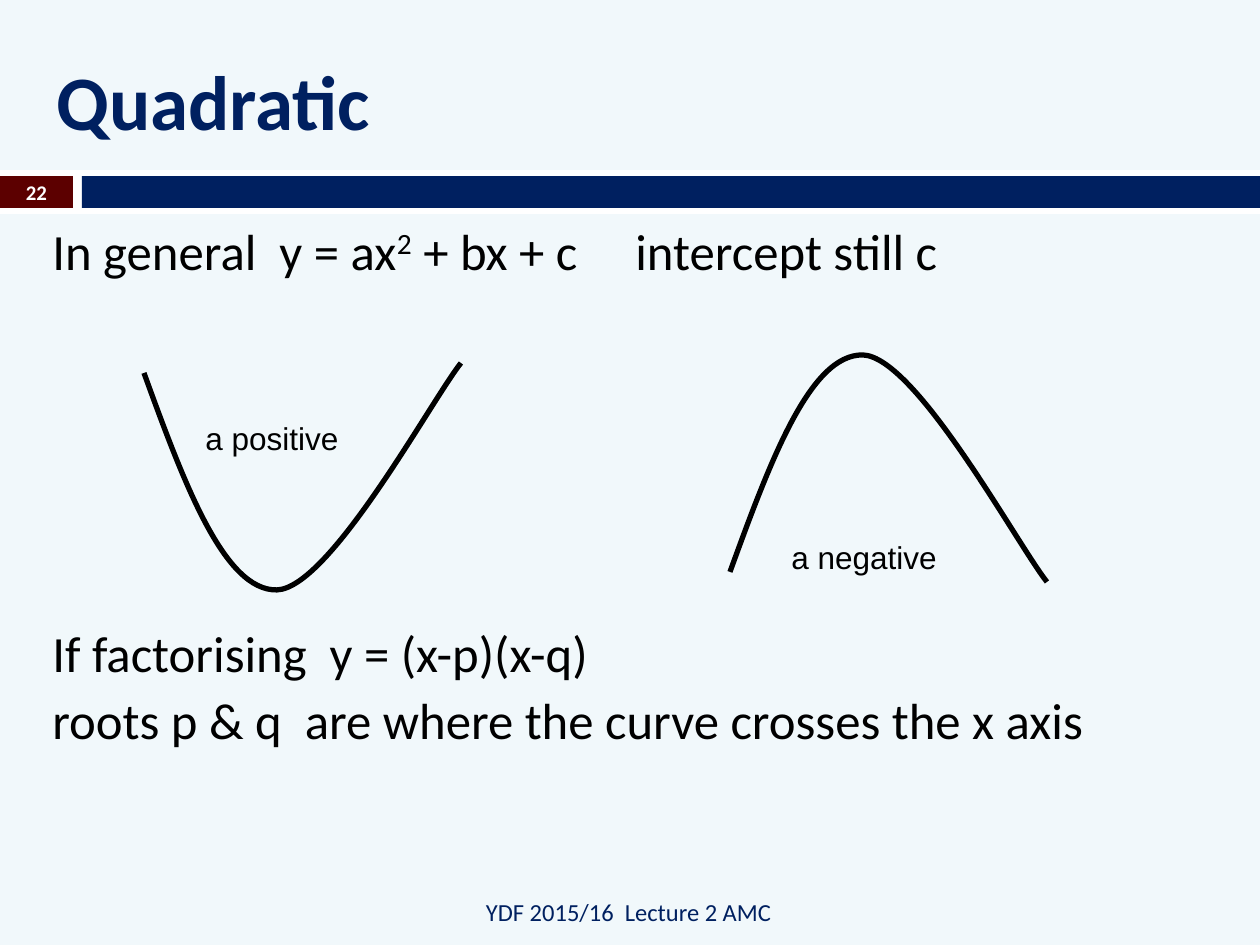
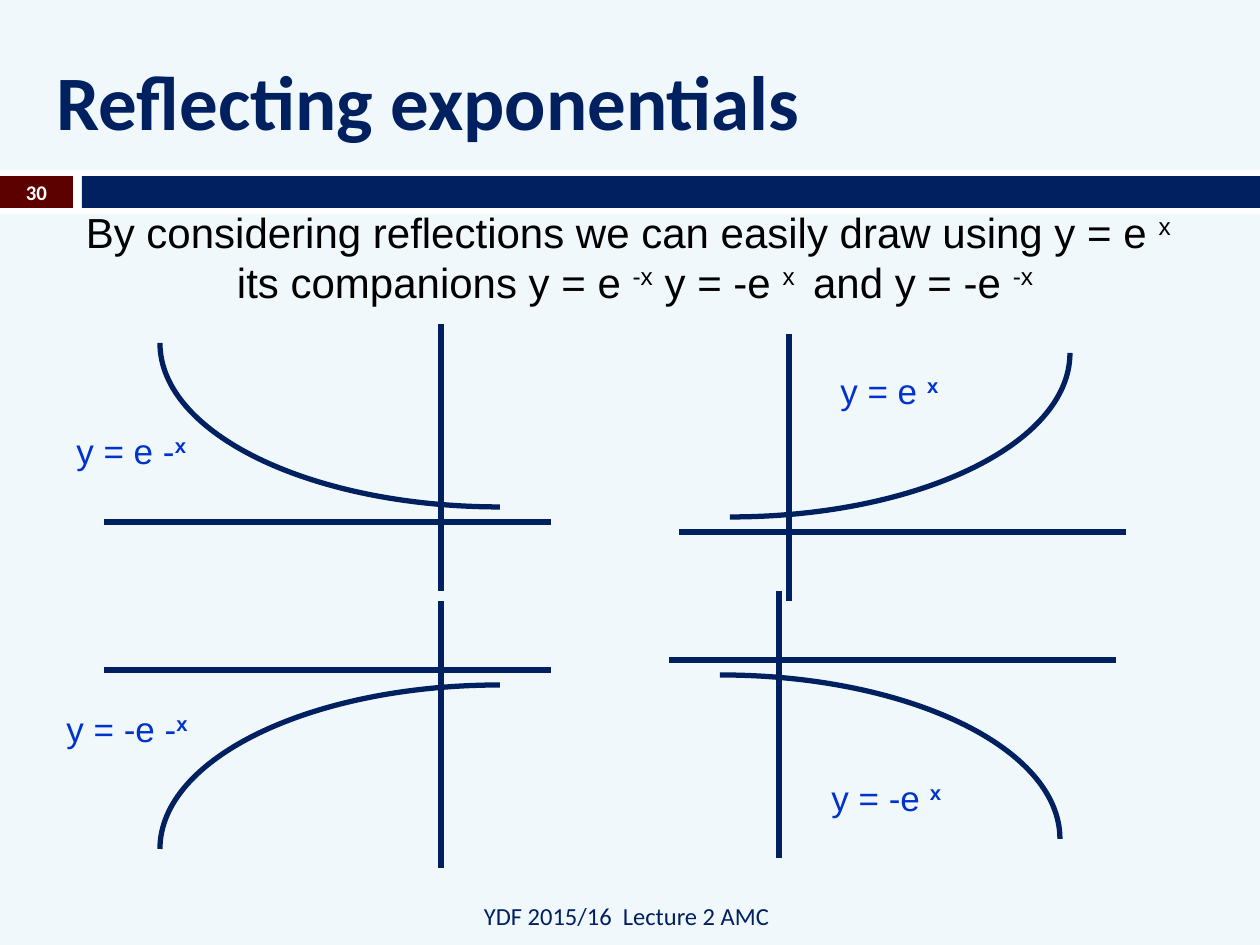
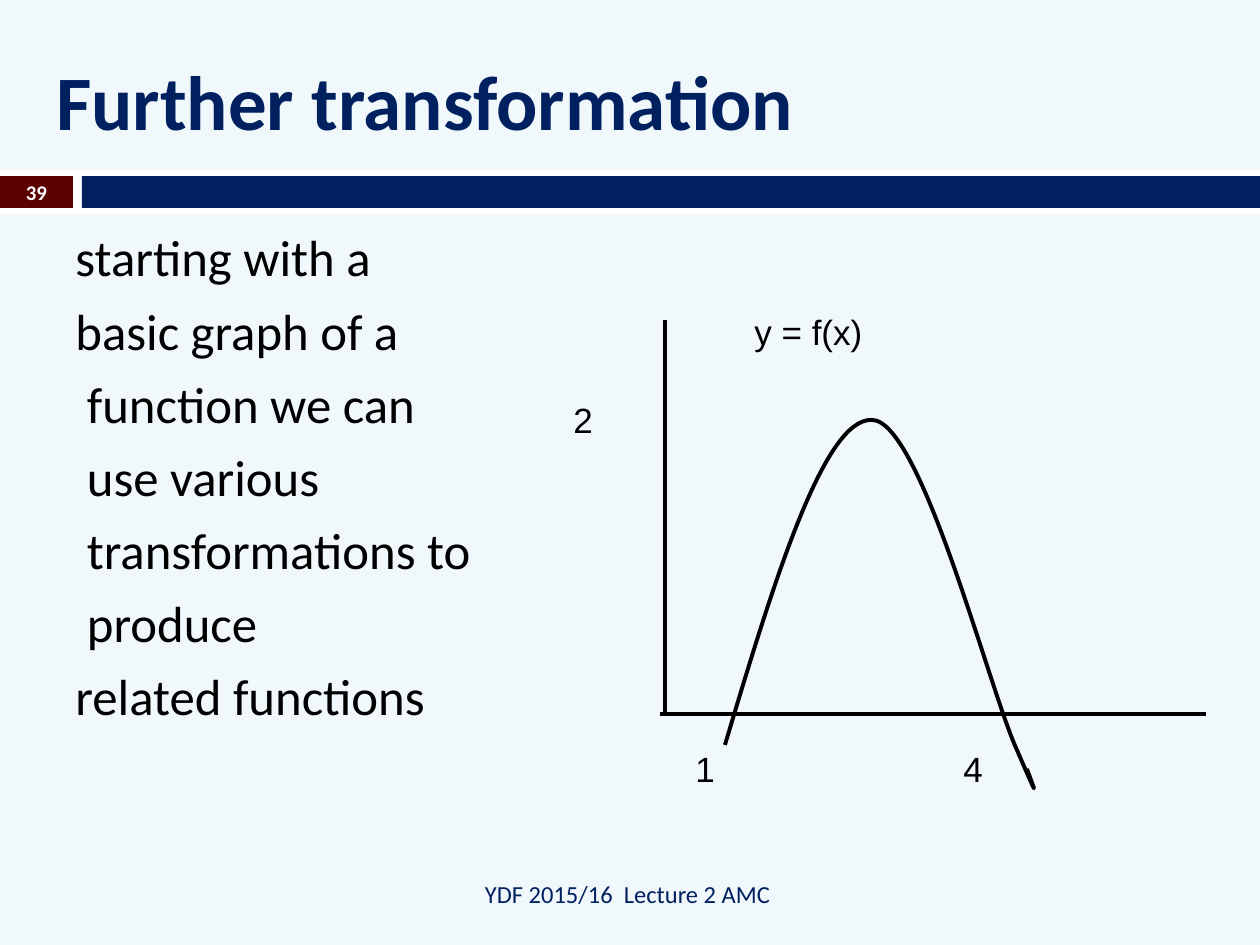
from dataclasses import dataclass

from lxml.etree import SubElement
from pptx import Presentation
from pptx.dml.color import RGBColor
from pptx.enum.shapes import MSO_CONNECTOR, MSO_SHAPE
from pptx.enum.text import MSO_ANCHOR, PP_ALIGN
from pptx.oxml.ns import qn
from pptx.util import Emu, Pt

SCALE = 914400 / 126
SLIDE_SIZE = (1260, 945)


@dataclass(frozen=True)
class Theme:
    """Colours, fonts and type sizes shared by the slides."""

    background: str = "F1F8FB"
    white: str = "FFFFFF"
    maroon: str = "5C0000"
    navy: str = "002060"
    black: str = "000000"
    blue: str = "0033CC"
    heading_font: str = "Calibri"
    label_font: str = "Arial"
    title: float = 44
    body: float = 29
    statement: float = 24
    equation: float = 20
    label: float = 18
    footer: float = 14
    number: float = 11.9


THEME = Theme()

TITLE = {"name": THEME.heading_font, "size": THEME.title, "bold": True, "color": THEME.navy}
BODY = {"name": THEME.heading_font, "size": THEME.body, "color": THEME.black}
FOOTER = {"name": THEME.heading_font, "size": THEME.footer, "color": THEME.navy}
NUMBER = {"name": THEME.heading_font, "size": THEME.number, "bold": True, "color": THEME.white}
STATEMENT = {"name": THEME.label_font, "size": THEME.statement, "color": THEME.black}
LABEL = {"name": THEME.label_font, "size": THEME.label, "color": THEME.black}
AXIS_LABEL = LABEL | {"size": THEME.equation}
EQUATION = AXIS_LABEL | {"color": THEME.blue}


def px(value):
    """Turn pixels into EMU."""
    return Emu(round(value * SCALE))


def rgb(value):
    """Turn a hex string into a colour."""
    return RGBColor.from_string(value)


def format_run(run, style):
    """Apply a dict of format values to a run."""
    for name, value in style.items():
        if name == "color":
            run.font.color.rgb = rgb(value)
        else:
            setattr(run.font, name, Pt(value) if name == "size" else value)


def add_text(slide, box, lines, style, anchor=MSO_ANCHOR.TOP, bold_powers=False, **paragraph_format):
    """Write lines of text, raising the parts that stand between carets."""
    frame = slide.shapes.add_textbox(*map(px, box)).text_frame
    frame.word_wrap = True
    frame.vertical_anchor = anchor
    for index, line in enumerate(lines):
        paragraph = frame.paragraphs[0] if index == 0 else frame.add_paragraph()
        for name, value in paragraph_format.items():
            setattr(paragraph, name, value)
        for position, part in enumerate(line.split("^")):
            if not part:
                continue
            run = paragraph.add_run()
            run.text = part
            format_run(run, style)
            if position % 2:
                run.font.bold = bold_powers
                run.font._element.set("baseline", "30000")
    return frame


def add_tab_stop(paragraph, position):
    """Set a left tab stop in a paragraph."""
    tabs = SubElement(paragraph._p.get_or_add_pPr(), qn("a:tabLst"))
    SubElement(tabs, qn("a:tab"), pos=str(px(position)), algn="l")


def add_band(slide, box, color):
    """Draw a plain filled rectangle."""
    band = slide.shapes.add_shape(MSO_SHAPE.RECTANGLE, *map(px, box))
    band.shadow.inherit = False
    band.fill.solid()
    band.fill.fore_color.rgb = rgb(color)
    band.line.fill.background()


def set_line(shape, color, width):
    """Give a line or an outline its colour and width."""
    shape.line.color.rgb = rgb(color)
    shape.line.width = Pt(width)


def add_axis(slide, start, end, color, width):
    """Draw a straight axis."""
    axis = slide.shapes.add_connector(MSO_CONNECTOR.STRAIGHT, *map(px, (*start, *end)))
    set_line(axis, color, width)
    SubElement(axis._element.spPr, qn("a:effectLst"))


def add_curve(slide, points, color, width):
    """Draw an open Bezier curve from a start and triples of control points."""
    builder = slide.shapes.build_freeform(*points[0], scale=SCALE)
    builder.add_line_segments(points[1:], close=False)
    curve = builder.convert_to_shape()
    curve.shadow.inherit = False
    curve.fill.background()
    set_line(curve, color, width)
    segments = list(curve._element.iter(qn("a:lnTo")))
    outline = segments[0].getparent()
    for first in range(0, len(segments), 3):
        bezier = SubElement(outline, qn("a:cubicBezTo"))
        for segment in segments[first:first + 3]:
            bezier.append(segment[0])
            outline.remove(segment)


def start_slide(deck, title, number, footer_corner):
    """Add a blank slide with its background, bands, title, number and footer."""
    slide = deck.slides.add_slide(deck.slide_layouts[6])
    slide.background.fill.solid()
    slide.background.fill.fore_color.rgb = rgb(THEME.background)
    add_band(slide, (0, 170, 1260, 44), THEME.white)
    add_band(slide, (0, 176, 73, 32), THEME.maroon)
    add_band(slide, (82, 176, 1178, 32), THEME.navy)
    add_text(slide, (44, 32, 1181, 136), [title], TITLE, MSO_ANCHOR.MIDDLE)
    centred = {"anchor": MSO_ANCHOR.MIDDLE, "alignment": PP_ALIGN.CENTER}
    add_text(slide, (*footer_corner, 399, 66), ["YDF 2015/16  Lecture 2 AMC "], FOOTER, **centred)
    add_text(slide, (0, 175, 73, 34), [str(number)], NUMBER, **centred)
    return slide


def build_quadratic(deck):
    """Show the two shapes of a quadratic curve."""
    slide = start_slide(deck, "Quadratic", 22, (432, 879))
    lines = [
        "In general  y = ax^2^ + bx + c\tintercept still c",
        "If factorising  y = (x-p)(x-q) ",
        "roots p & q  are where the curve crosses the x axis",
    ]
    body = add_text(slide, (40, 220, 1186, 620), lines, BODY, line_spacing=0.9, space_before=Pt(7))
    add_tab_stop(body.paragraphs[0], 583)
    body.paragraphs[1].space_before = Pt(198.5)

    valley = [(144, 373), (184, 483), (224, 591), (277, 590), (330, 588), (431, 401), (461, 363)]
    hill = [(x + 586, 945 - y) for x, y in valley]
    for curve in (valley, hill):
        add_curve(slide, curve, THEME.black, 3)
    add_text(slide, (193, 413, 169, 50), ["a positive"], LABEL)
    add_text(slide, (779, 532, 258, 50), ["a negative"], LABEL)


def add_exponential(slide, origin, flip_x, flip_y, equation, label_corner):
    """Draw axes, a reflected exponential and its equation."""
    def place(x, y):
        """Reflect a point and move it to the origin of the graph."""
        return origin[0] + flip_x * x, origin[1] + flip_y * y

    curve = [place(*point) for point in ((-59, -15), (129, -15), (281, -88), (281, -179))]
    add_curve(slide, curve, THEME.navy, 3)
    add_axis(slide, place(0, -198), place(0, 69), THEME.navy, 3)
    add_axis(slide, place(-110, 0), place(337, 0), THEME.navy, 3)
    add_text(slide, (*label_corner, 149, 54), [equation], EQUATION, bold_powers=True)


def build_exponentials(deck):
    """Show the exponential and its three reflections."""
    slide = start_slide(deck, "Reflecting exponentials", 30, (430, 883))
    lines = [
        "By considering reflections we can easily draw using y = e ^x  ^",
        "its companions y = e ^-x^ y = -e ^x ^ and y = -e ^-x^",
    ]
    add_text(slide, (64, 199, 1142, 115), lines, STATEMENT, MSO_ANCHOR.MIDDLE,
             alignment=PP_ALIGN.CENTER)
    graphs = [
        ((789, 532), 1, 1, "y = e ^x^", (828, 363)),
        ((779, 660), 1, -1, "y = -e ^x^", (819, 770)),
        ((441, 670), -1, -1, "y = -e -^x^", (54, 701)),
        ((441, 522), -1, 1, "y = e -^x^", (64, 423)),
    ]
    for graph in graphs:
        add_exponential(slide, *graph)


def build_transformation(deck):
    """Show the basic graph that is to be transformed."""
    slide = start_slide(deck, "Further transformation", 39, (431, 861))
    lines = [
        "starting with a ",
        "basic graph of a",
        " function we can",
        " use various",
        " transformations to",
        " produce ",
        "related functions",
    ]
    add_text(slide, (63, 220, 498, 624), lines, BODY, space_before=Pt(7))

    add_axis(slide, (665, 320), (665, 712), THEME.black, 2.25)
    add_axis(slide, (660, 714), (1206, 714), THEME.black, 2.25)
    hump = [(725, 745), (774, 581), (824, 418), (872, 420), (921, 420),
            (990, 692), (1017, 750), (1042, 808), (1034, 788), (1027, 769)]
    add_curve(slide, hump, THEME.black, 2.25)
    labels = {
        "2": (561, 392, 89, 94),
        "1": (683, 741, 107, 86),
        "4": (951, 741, 107, 94),
        "y = f(x)": (742, 304, 275, 102),
    }
    for label, box in labels.items():
        add_text(slide, box, [label], AXIS_LABEL)


def main():
    """Build the deck and save it."""
    deck = Presentation()
    deck.slide_width, deck.slide_height = map(px, SLIDE_SIZE)
    build_quadratic(deck)
    build_exponentials(deck)
    build_transformation(deck)
    deck.save("out.pptx")


main()
